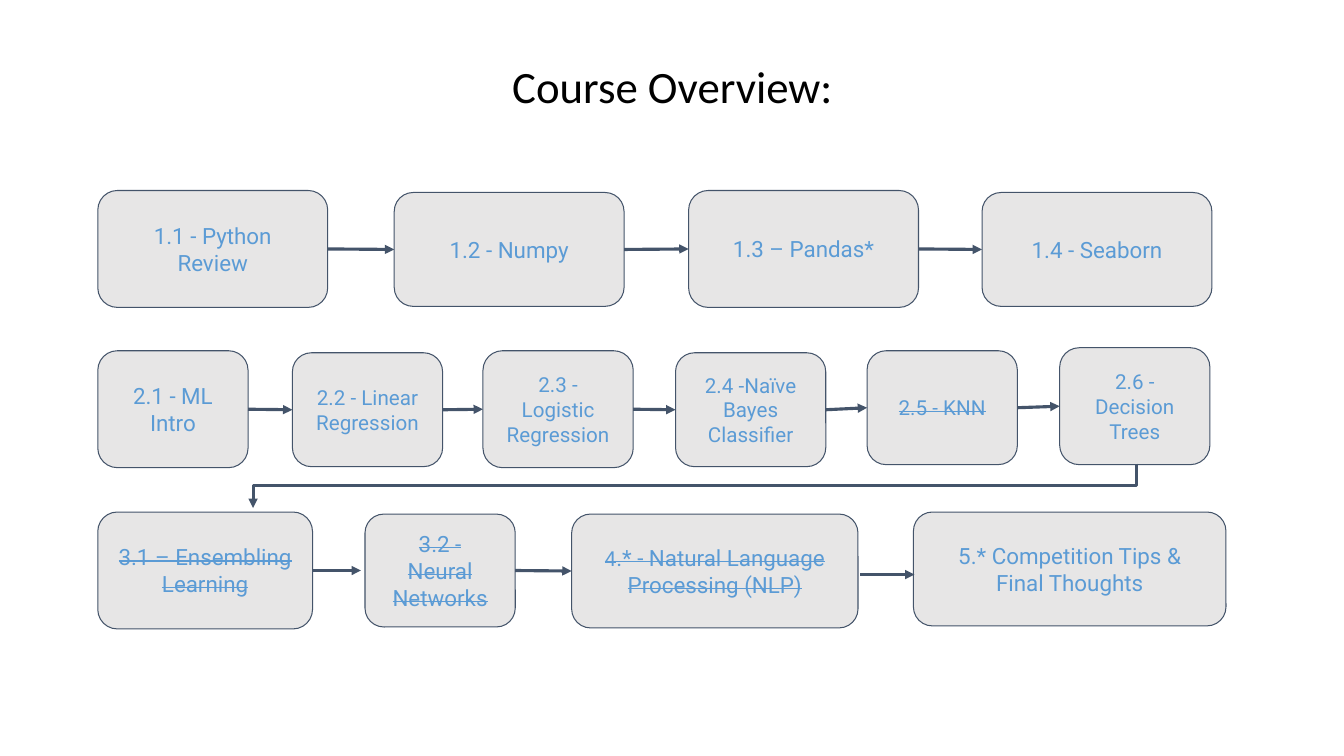
"""Build the course overview slide: three rows of stages joined by arrows."""
from dataclasses import dataclass
from typing import Optional

from lxml.etree import SubElement
from pptx import Presentation
from pptx.dml.color import RGBColor
from pptx.enum.shapes import MSO_CONNECTOR as Link, MSO_SHAPE as Preset
from pptx.enum.text import MSO_ANCHOR as Anchor, PP_ALIGN as Align
from pptx.oxml.ns import qn
from pptx.util import Emu, Pt

PX = 9144
INSET = 13
LEFT_SIDE, RIGHT_SIDE = 1, 3
GREY = RGBColor(0xE7, 0xE6, 0xE6)
NAVY = RGBColor(0x44, 0x54, 0x6A)
BLUE = RGBColor(0x5B, 0x9B, 0xD5)
BLACK = RGBColor(0x00, 0x00, 0x00)


@dataclass
class Stage:
    """One course stage, with its place in px and its text."""
    left: int
    top: int
    width: int
    height: int
    text: str
    size: float = 16
    struck: bool = False
    lead: str = ""


@dataclass
class Arrow:
    """An arrow between two stages; a loose end has a point in px instead."""
    source: Optional[str]
    target: Optional[str]
    start: tuple[int, int] = (0, 0)
    end: tuple[int, int] = (0, 0)


STAGES = {
    "1.1": Stage(97, 189, 228, 116, "1.1 - Python Review"),
    "1.2": Stage(391, 191, 228, 113, "1.2 - Numpy"),
    "1.3": Stage(683, 189, 228, 116, "1.3 – Pandas*"),
    "1.4": Stage(974, 191, 228, 113, "1.4 - Seaborn"),
    "2.1": Stage(97, 348, 149, 116, "2.1 - ML Intro"),
    "2.2": Stage(290, 350, 149, 113, "2.2 - Linear Regression", 14.7),
    "2.3": Stage(479, 348, 149, 116, "2.3 - Logistic Regression", 14.7),
    "2.4": Stage(670, 350, 149, 113, "2.4 -Naïve Bayes Classifier", 14.7),
    "2.5": Stage(860, 348, 149, 113, "2.5 - KNN", 14.7, struck=True),
    "2.6": Stage(1051, 345, 149, 116, "2.6 - Decision Trees", 14.7),
    "3.1": Stage(97, 508, 213, 116, "3.1 – Ensembling Learning", struck=True),
    "3.2": Stage(362, 510, 149, 112, "3.2 - Neural Networks", struck=True),
    "4": Stage(567, 510, 284, 113, ".* - Natural Language Processing (NLP)", struck=True, lead="4"),
    "5": Stage(906, 508, 310, 113, "5.* Competition Tips & Final Thoughts"),
}
JOINED = ["1.1 1.2", "1.2 1.3", "1.3 1.4", "2.1 2.2", "2.2 2.3", "2.3 2.4",
          "2.4 2.5", "2.5 2.6", "3.2 4"]
ARROWS = [Arrow(*pair.split()) for pair in JOINED] + [
    Arrow("3.1", None, end=(358, 566)),
    Arrow(None, None, start=(853, 570), end=(907, 570)),
]


def px(*lengths: int) -> list[Emu]:
    """Turn px lengths into EMU."""
    return [Emu(length * PX) for length in lengths]


def set_margins(frame) -> None:
    """Wrap a text frame and give it equal insets."""
    frame.word_wrap = True
    frame.margin_left, frame.margin_top, frame.margin_right, frame.margin_bottom = px(*[INSET] * 4)


def add_span(para, text: str, *, size: float, font: str, color: RGBColor, struck: bool = False) -> None:
    """Add a formatted run to a centred paragraph."""
    para.alignment = Align.CENTER
    span = para.add_run()
    span.text = text
    span.font.size = Pt(size)
    span.font.name = font
    span.font.color.rgb = color
    if struck:
        span.font._element.set("strike", "sngStrike")


def add_title(page) -> None:
    """Add the slide title."""
    frame = page.shapes.add_textbox(*px(240, 51, 854, 138)).text_frame
    set_margins(frame)
    para = frame.paragraphs[0]
    para.line_spacing = 0.9
    add_span(para, "Course Overview:", size=32, font="Calibri", color=BLACK)


def add_stage(page, stage: Stage):
    """Draw one stage box and return it."""
    box = page.shapes.add_shape(Preset.FLOWCHART_ALTERNATE_PROCESS,
                                *px(stage.left, stage.top, stage.width, stage.height))
    box.shadow.inherit = False
    box.fill.solid()
    box.fill.fore_color.rgb = GREY
    box.line.color.rgb = NAVY
    box.line.width = Pt(0.75)
    frame = box.text_frame
    set_margins(frame)
    frame.vertical_anchor = Anchor.MIDDLE
    para = frame.paragraphs[0]
    if stage.lead:
        add_span(para, stage.lead, size=14.7, font="Roboto", color=BLUE, struck=stage.struck)
    add_span(para, stage.text, size=stage.size, font="Roboto", color=BLUE, struck=stage.struck)
    return box


def style_arrow(connector) -> None:
    """Give a connector its line, arrowhead and no shadow."""
    connector.line.color.rgb = NAVY
    connector.line.width = Pt(2.25)
    SubElement(connector.line._get_or_add_ln(), qn("a:tailEnd"), type="triangle")
    SubElement(connector._element.spPr, qn("a:effectLst"))


def add_arrow(page, arrow: Arrow, boxes: dict) -> None:
    """Draw a straight arrow, joined to the boxes it names."""
    connector = page.shapes.add_connector(Link.STRAIGHT, *px(*arrow.start, *arrow.end))
    if arrow.source:
        connector.begin_connect(boxes[arrow.source], RIGHT_SIDE)
    if arrow.target:
        connector.end_connect(boxes[arrow.target], LEFT_SIDE)
    style_arrow(connector)


def add_row_return(page) -> None:
    """Draw the bent arrow from the second row down to the third."""
    connector = page.shapes.add_connector(Link.ELBOW, *px(667, 44, 711, 920))
    connector._element.spPr.find(qn("a:xfrm")).set("rot", str(90 * 60000))
    style_arrow(connector)


def main() -> None:
    """Build and save the deck."""
    deck = Presentation()
    deck.slide_width, deck.slide_height = px(1333, 750)
    page = deck.slides.add_slide(deck.slide_layouts[6])
    add_title(page)
    boxes = {key: add_stage(page, stage) for key, stage in STAGES.items()}
    for arrow in ARROWS:
        add_arrow(page, arrow, boxes)
    add_row_return(page)
    deck.save("out.pptx")


if __name__ == "__main__":
    main()
